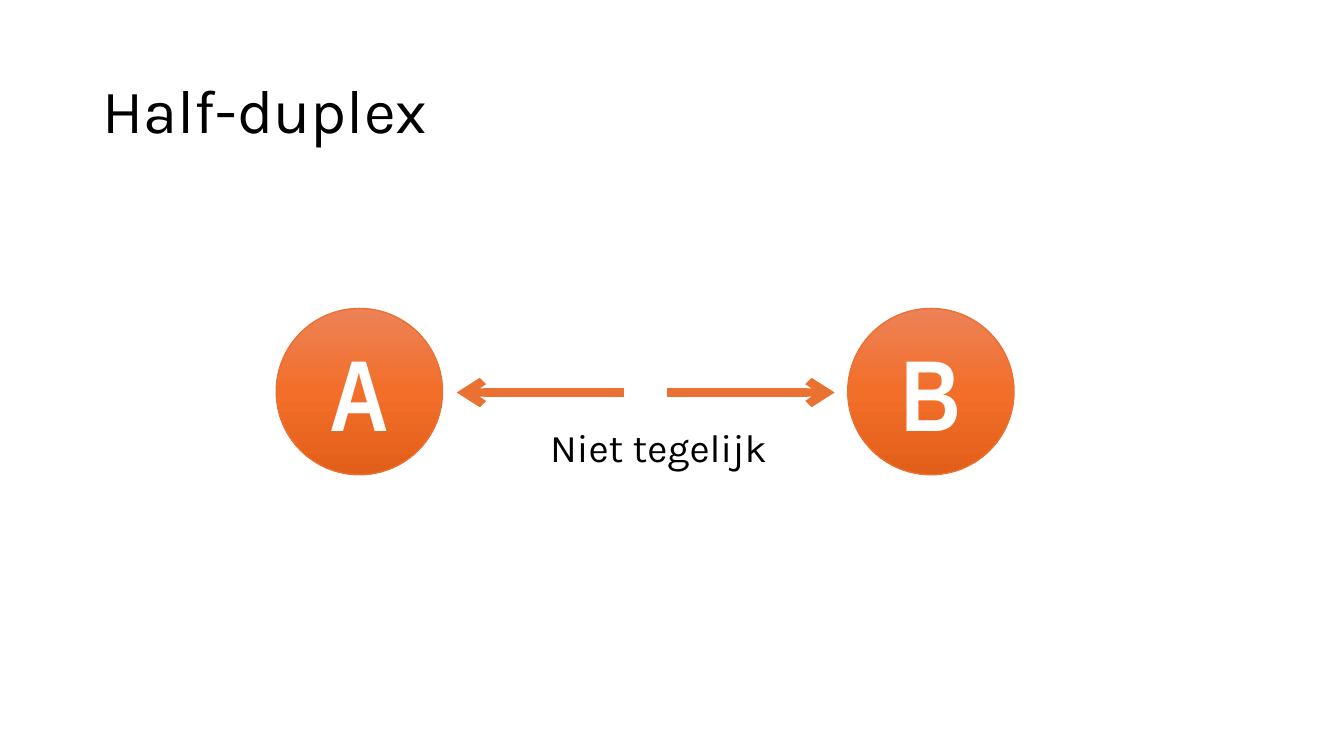
from copy import deepcopy

from pptx import Presentation
from pptx.dml.color import RGBColor
from pptx.enum.shapes import MSO_CONNECTOR as Link, MSO_SHAPE as Form
from pptx.enum.text import MSO_ANCHOR as Anchor, MSO_AUTO_SIZE as Fit, PP_ALIGN as Align
from pptx.oxml.ns import qn
from pptx.util import Pt
from lxml.etree import SubElement

BLACK = RGBColor(0x00, 0x00, 0x00)
WHITE = RGBColor(0xFF, 0xFF, 0xFF)
ORANGE = RGBColor(0xE9, 0x71, 0x32)
SHADES = [
    (0, RGBColor(0xED, 0x82, 0x57)),
    (0.5, RGBColor(0xF2, 0x6E, 0x29)),
    (1, RGBColor(0xE2, 0x5F, 0x1A)),
]

TITLE = "Half-duplex"
NOTE = "Niet tegelijk"
NODES = [("A", 197.3), ("B", 605.5)]  # letter, left edge
ARROWS = [(476.6, 596.2), (445.7, 326.2)]  # tail x, head x
NODE_TOP, NODE_SIZE = 220.3, 118.8
ARROW_Y = 280.4


def write(frame, text, size, font, color, align=Align.LEFT, bold=False):
    para = frame.paragraphs[0]
    para.alignment = align
    run = para.add_run()
    run.text = text
    run.font.size = Pt(size)
    run.font.name = font
    run.font.bold = bold
    run.font.color.rgb = color
    return para


def shade(fill):
    """Fill from top to bottom through all SHADES."""
    fill.gradient()
    fill.gradient_angle = 270
    first = fill.gradient_stops[0]._gs
    first.addnext(deepcopy(first))
    for stop, (place, color) in zip(fill.gradient_stops, SHADES):
        stop.position = place
        stop.color.rgb = color


def add_node(slide, letter, left):
    node = slide.shapes.add_shape(
        Form.OVAL, Pt(left), Pt(NODE_TOP), Pt(NODE_SIZE), Pt(NODE_SIZE))
    node.shadow.inherit = False
    shade(node.fill)
    node.line.color.rgb = ORANGE
    node.line.width = Pt(1)
    frame = node.text_frame
    frame.vertical_anchor = Anchor.MIDDLE
    write(frame, letter, 72, "Arial Narrow", WHITE, Align.CENTER, True)


def add_arrow(slide, tail, head):
    arrow = slide.shapes.add_connector(
        Link.STRAIGHT, Pt(tail), Pt(ARROW_Y), Pt(head), Pt(ARROW_Y))
    arrow.line.color.rgb = ORANGE
    arrow.line.width = Pt(6)
    SubElement(arrow.line._get_or_add_ln(), qn("a:tailEnd"), type="arrow")
    SubElement(arrow._element.spPr, qn("a:effectLst"))


def main():
    deck = Presentation()
    deck.slide_width, deck.slide_height = Pt(960), Pt(540)
    slide = deck.slides.add_slide(deck.slide_layouts[5])

    title = slide.shapes.title
    title.left, title.top, title.width, title.height = Pt(66), Pt(28.8), Pt(828), Pt(104.4)
    frame = title.text_frame
    frame.auto_size = Fit.NONE
    frame.vertical_anchor = Anchor.MIDDLE
    write(frame, TITLE, 44, "Karla", BLACK).line_spacing = 0.9

    for letter, left in NODES:
        add_node(slide, letter, left)
    for tail, head in ARROWS:
        add_arrow(slide, tail, head)

    note = slide.shapes.add_textbox(Pt(385.9), Pt(298.8), Pt(269.3), Pt(41))
    note.text_frame.word_wrap = True
    note.text_frame.auto_size = Fit.SHAPE_TO_FIT_TEXT
    write(note.text_frame, NOTE, 28, "Karla", BLACK)

    deck.save("out.pptx")


if __name__ == "__main__":
    main()
